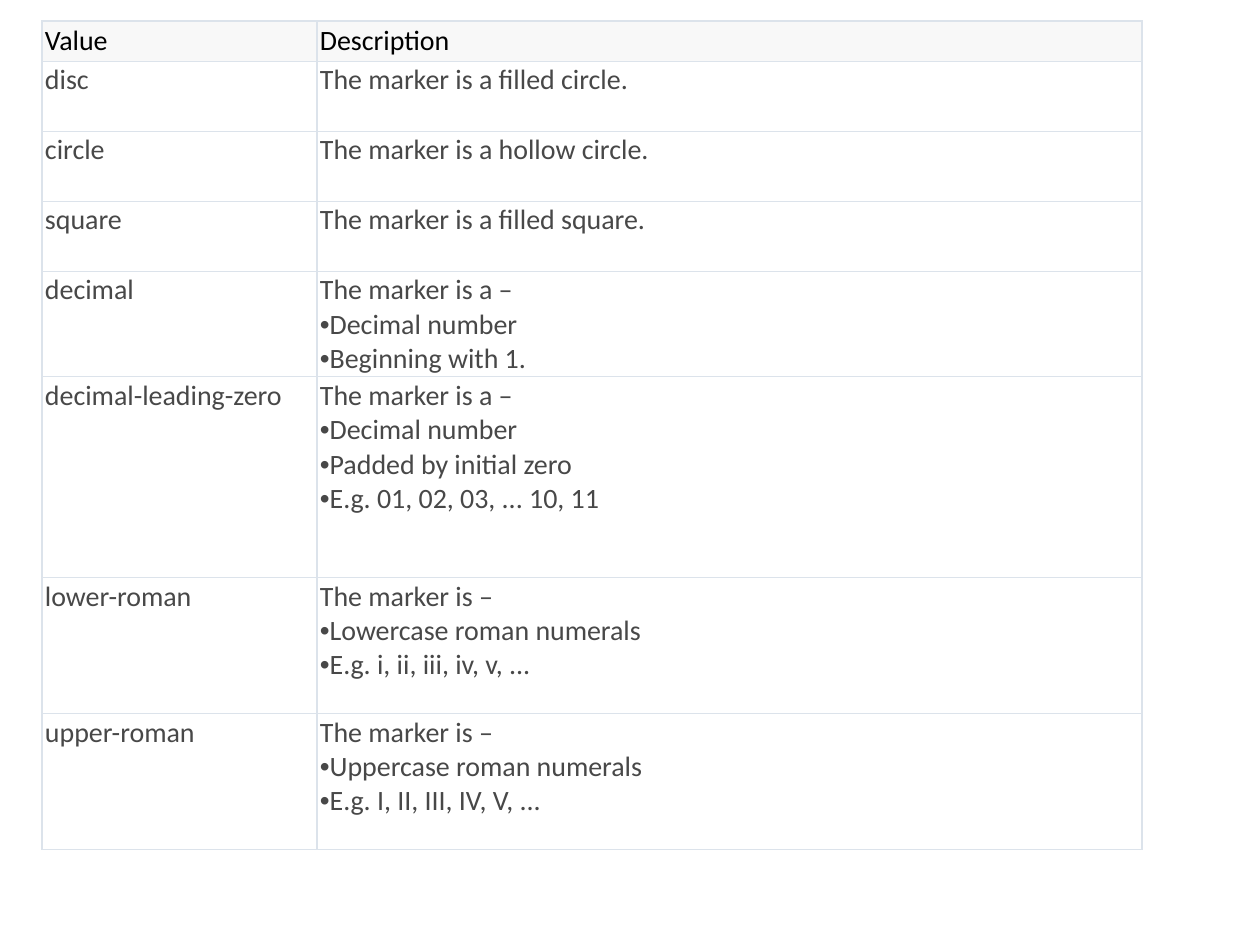
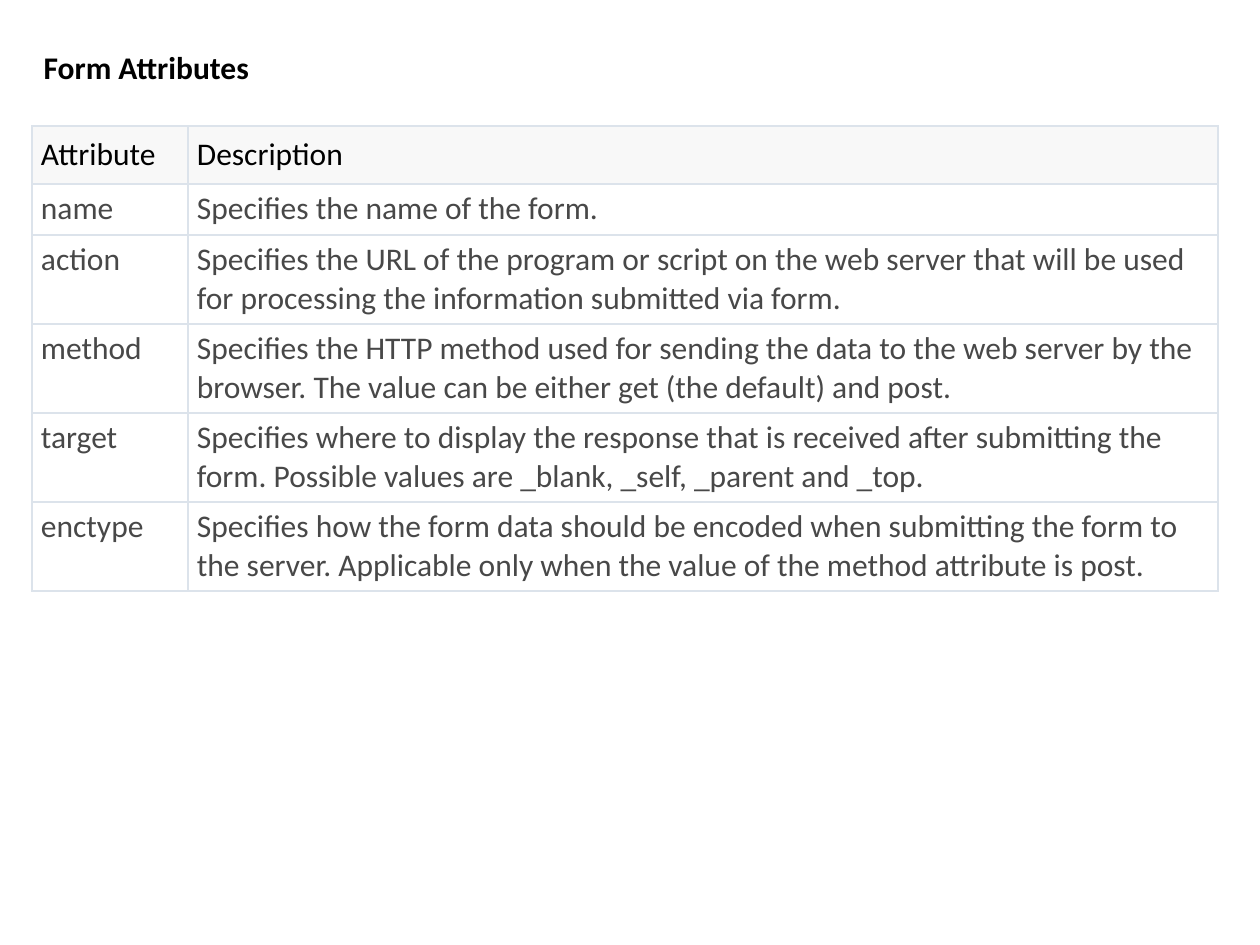
from dataclasses import dataclass

from lxml import etree
from pptx import Presentation
from pptx import util as u
from pptx.dml.color import RGBColor
from pptx.enum import text
from pptx.oxml import ns


@dataclass(frozen=True)
class Theme:
    font: str = "Calibri"
    ink: str = "000000"
    body: str = "484848"
    header_fill: str = "F8F8F8"
    body_fill: str = "FFFFFF"
    border: str = "DCE3EB"
    border_pt: float = 0.75
    small: int = 16
    large: int = 18


T = Theme()
PX = 914400 / 126


def add_run(p, words, size, color, bold=False):
    r = p.add_run()
    r.text = words
    r.font.name = T.font
    r.font.size = u.Pt(size)
    r.font.bold = bold
    r.font.color.rgb = RGBColor.from_string(color)


def add_grid(s, left, top, widths, heights, rows, size, side, header_pad, body_pad):
    frame = s.shapes.add_table(
        len(rows), len(widths),
        *(round(v * PX) for v in (left, top, sum(widths), sum(heights))))
    table = frame.table
    table.first_row = False
    table.horz_banding = False
    for col, width in zip(table.columns, widths):
        col.width = round(width * PX)
    for row, height in zip(table.rows, heights):
        row.height = round(height * PX)
    for i, values in enumerate(rows):
        pad = body_pad if i else header_pad
        color = T.body if i else T.ink
        fill = T.body_fill if i else T.header_fill
        for j, value in enumerate(values):
            cell = table.cell(i, j)
            cell.margin_left = cell.margin_right = round(side * PX)
            cell.margin_top, cell.margin_bottom = (round(v * PX) for v in pad)
            tc_pr = cell._tc.get_or_add_tcPr()
            for edge in ("a:lnL", "a:lnR", "a:lnT", "a:lnB"):
                ln = etree.SubElement(tc_pr, ns.qn(edge), w=str(u.Pt(T.border_pt)))
                paint = etree.SubElement(ln, ns.qn("a:solidFill"))
                etree.SubElement(paint, ns.qn("a:srgbClr"), val=T.border)
            cell.fill.solid()
            cell.fill.fore_color.rgb = RGBColor.from_string(fill)
            tf = cell.text_frame
            for k, line in enumerate(value.split("\n")):
                p = tf.add_paragraph() if k else tf.paragraphs[0]
                if k:
                    p_pr = p._p.get_or_add_pPr()
                    p_pr.set("marL", "0")
                    p_pr.set("indent", "0")
                    etree.SubElement(p_pr, ns.qn("a:buFont"), typeface="Arial")
                    etree.SubElement(p_pr, ns.qn("a:buChar"), char="•")
                add_run(p, line, size, color)


prs = Presentation()
prs.slide_width = u.Inches(10)
prs.slide_height = u.Inches(7.5)

s = prs.slides.add_slide(prs.slide_layouts[6])
markers = [
    ("Value", "Description"),
    ("disc", "The marker is a filled circle."),
    ("circle", "The marker is a hollow circle."),
    ("square", "The marker is a filled square."),
    ("decimal", "The marker is a –\nDecimal number\nBeginning with 1."),
    ("decimal-leading-zero",
     "The marker is a –\nDecimal number\nPadded by initial zero\nE.g. 01, 02, 03, ... 10, 11"),
    ("lower-roman", "The marker is –\nLowercase roman numerals\nE.g. i, ii, iii, iv, v, ..."),
    ("upper-roman", "The marker is –\nUppercase roman numerals\nE.g. I, II, III, IV, V, ..."),
]
add_grid(s, 42, 21, (275, 825), (40, 70, 70, 70, 105, 201, 136, 136), markers,
         T.small, side=3, header_pad=(3, 3), body_pad=(2, 1))

s = prs.slides.add_slide(prs.slide_layouts[5])
title = s.shapes.title
title.left, title.top, title.width, title.height = (
    round(v * PX) for v in (31, 42, 233, 50))
tf = title.text_frame
tf.word_wrap = False
tf.auto_size = text.MSO_AUTO_SIZE.SHAPE_TO_FIT_TEXT
tf.vertical_anchor = text.MSO_ANCHOR.TOP
p = tf.paragraphs[0]
p.alignment = text.PP_ALIGN.LEFT
add_run(p, "Form Attributes", T.large, T.ink, bold=True)

attributes = [
    ("Attribute", "Description"),
    ("name", "Specifies the name of the form."),
    ("action",
     "Specifies the URL of the program or script on the web server that will be used "
     "for processing the information submitted via form."),
    ("method",
     "Specifies the HTTP method used for sending the data to the web server by the browser. "
     "The value can be either\u00a0get\u00a0(the default) and\u00a0post."),
    ("target",
     "Specifies where to display the response that is received after submitting the form. "
     "Possible values are\u00a0_blank,\u00a0_self,\u00a0_parent\u00a0and\u00a0_top."),
    ("enctype",
     "Specifies how the form data should be encoded when submitting the form to the server. "
     "Applicable only when the value of the\u00a0method\u00a0attribute is\u00a0post."),
]
add_grid(s, 32, 126, (156, 1030), (58, 51, 89, 89, 89, 89), attributes,
         T.large, side=9, header_pad=(10, 10), body_pad=(6, 6))

prs.save("out.pptx")
